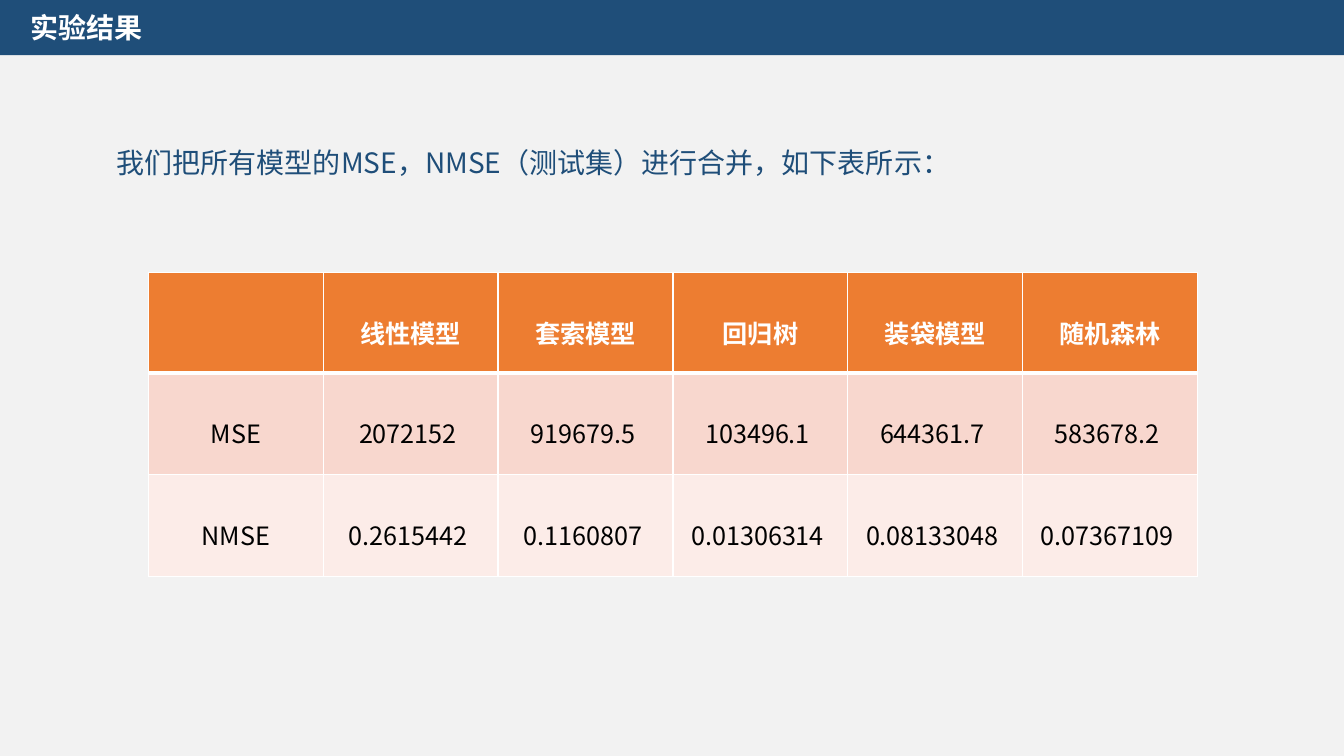
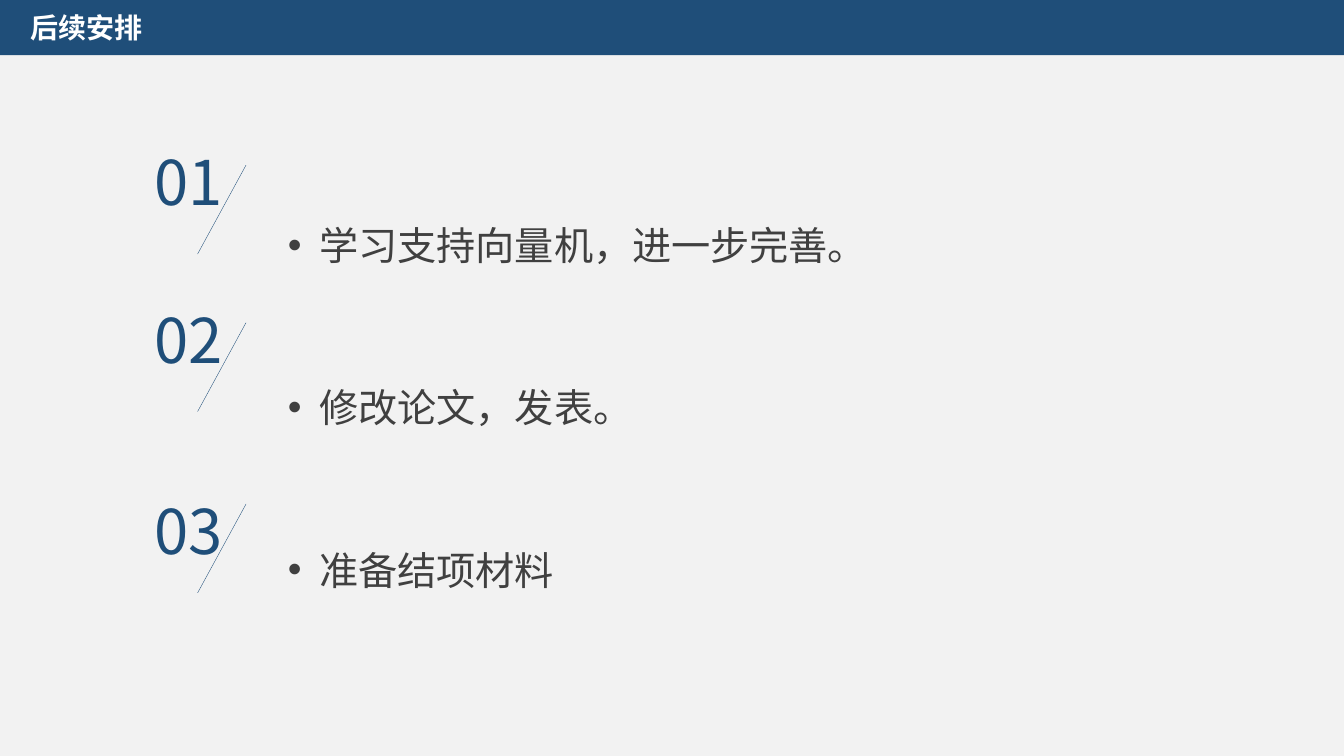
from dataclasses import dataclass

from lxml import etree
from pptx import Presentation
from pptx.dml.color import RGBColor
from pptx.enum.shapes import MSO_CONNECTOR
from pptx.enum.text import MSO_ANCHOR, MSO_AUTO_SIZE, PP_ALIGN
from pptx.oxml.ns import qn
from pptx.presentation import Presentation as Deck
from pptx.shapes.base import BaseShape
from pptx.slide import Slide
from pptx.table import _Cell as Cell
from pptx.text.text import TextFrame, _Paragraph as Paragraph
from pptx.util import Cm, Pt

STRAIGHT = MSO_CONNECTOR.STRAIGHT
LEFT, CENTER = PP_ALIGN.LEFT, PP_ALIGN.CENTER
TOP, MIDDLE = MSO_ANCHOR.TOP, MSO_ANCHOR.MIDDLE
FIXED_SIZE, FIT_SHAPE = MSO_AUTO_SIZE.NONE, MSO_AUTO_SIZE.SHAPE_TO_FIT_TEXT

FONT = "Noto Sans CJK SC"
COLORS = {
    "background": "F2F2F2",
    "navy": "1F4E79",
    "white": "FFFFFF",
    "black": "000000",
    "gray": "404040",
    "header": "ED7D31",
    "row_dark": "F8D7CE",
    "row_light": "FCECE8",
}
SLIDE_WIDTH, SLIDE_HEIGHT = 33.87, 19.05
TITLE_ONLY, TITLE_AND_CONTENT = 5, 1


@dataclass(frozen=True)
class Box:
    left: float
    top: float
    width: float
    height: float


@dataclass(frozen=True)
class TextStyle:
    size: float
    color: str
    bold: bool = False


@dataclass(frozen=True)
class TableRow:
    values: tuple[str, ...]
    height: float
    fill: str
    style: TextStyle
    top_border: float
    bottom_border: float
    text_top: float


@dataclass(frozen=True)
class Step:
    number: str
    text: str
    number_top: float
    slash_top: float


TITLE_STYLE = TextStyle(20, "white", True)
LEAD_STYLE = TextStyle(20, "navy")
HEADER_STYLE = TextStyle(18, "white", True)
VALUE_STYLE = TextStyle(18, "black")
NUMBER_STYLE = TextStyle(44, "navy")
STEP_STYLE = TextStyle(28, "gray")

TITLE_BAND = Box(0, 0, SLIDE_WIDTH, 1.39)
LEAD_BOX = Box(2.69, 3.28, 22.05, 1.37)
TABLE_BOX = Box(3.74, 6.86, 26.44, 7.66)
STEPS_BOX = Box(7.0, 5.45, 22.78, 11)

RESULT_ROWS = (
    TableRow(("", "线性模型", "套索模型", "回归树", "装袋模型", "随机森林"),
             2.54, "header", HEADER_STYLE, 1, 3, 1.07),
    TableRow(("MSE", "2072152", "919679.5", "103496.1", "644361.7", "583678.2"),
             2.56, "row_dark", VALUE_STYLE, 3, 1, 1.05),
    TableRow(("NMSE", "0.2615442", "0.1160807", "0.01306314", "0.08133048", "0.07367109"),
             2.56, "row_light", VALUE_STYLE, 1, 1, 1.05),
)
STEPS = (
    Step("01", "学习支持向量机，进一步完善。", 3.51, 4.16),
    Step("02", "修改论文，发表。", 7.48, 8.13),
    Step("03", "准备结项材料", 12.29, 12.7),
)


def rgb(name: str) -> RGBColor:
    return RGBColor.from_string(COLORS[name])


def place(shape: BaseShape, box: Box) -> None:
    shape.left, shape.top = Cm(box.left), Cm(box.top)
    shape.width, shape.height = Cm(box.width), Cm(box.height)


def add_run(paragraph: Paragraph, text: str, style: TextStyle) -> None:
    run = paragraph.add_run()
    run.text = text
    font = run.font
    font.name, font.size, font.bold = FONT, Pt(style.size), style.bold
    font.color.rgb = rgb(style.color)
    # East Asian typeface beside the Latin one
    latin = run._r.get_or_add_rPr().find(qn("a:latin"))
    east_asian = etree.Element(qn("a:ea"))
    east_asian.set("typeface", FONT)
    latin.addnext(east_asian)


def add_text_box(slide: Slide, box: Box, wrap: bool) -> TextFrame:
    text_box = slide.shapes.add_textbox(
        Cm(box.left), Cm(box.top), Cm(box.width), Cm(box.height))
    text_frame = text_box.text_frame
    text_frame.word_wrap = wrap
    text_frame.auto_size = FIT_SHAPE
    return text_frame


# Shared look: background on the master, title as a full-width band
def set_background(presentation: Deck) -> None:
    fill = presentation.slide_master.background.fill
    fill.solid()
    fill.fore_color.rgb = rgb("background")


def add_titled_slide(presentation: Deck, layout_index: int, title: str) -> Slide:
    slide = presentation.slides.add_slide(presentation.slide_layouts[layout_index])
    band = slide.shapes.title
    place(band, TITLE_BAND)
    band.fill.solid()
    band.fill.fore_color.rgb = rgb("navy")
    text_frame = band.text_frame
    text_frame.auto_size = FIXED_SIZE
    text_frame.vertical_anchor = MIDDLE
    text_frame.margin_left = Cm(0.76)
    text_frame.margin_top = text_frame.margin_bottom = 0
    paragraph = text_frame.paragraphs[0]
    paragraph.alignment = LEFT
    add_run(paragraph, title, TITLE_STYLE)
    return slide


# Results table
def set_borders(cell: Cell, top: float, bottom: float) -> None:
    properties = cell._tc.get_or_add_tcPr()
    for side, width in (("L", 1), ("R", 1), ("T", top), ("B", bottom)):
        line = etree.SubElement(properties, qn(f"a:ln{side}"), w=str(Pt(width)))
        fill = etree.SubElement(line, qn("a:solidFill"))
        etree.SubElement(fill, qn("a:srgbClr"), val=COLORS["white"])


def fill_cell(cell: Cell, row: TableRow, text: str, is_number: bool) -> None:
    set_borders(cell, row.top_border, row.bottom_border)
    cell.fill.solid()
    cell.fill.fore_color.rgb = rgb(row.fill)
    cell.vertical_anchor = TOP
    cell.margin_top = Cm(row.text_top)
    cell.margin_right = Cm(0.39 if is_number else 0.25)
    if text:
        paragraph = cell.text_frame.paragraphs[0]
        paragraph.alignment = CENTER
        add_run(paragraph, text, row.style)


def add_results_table(slide: Slide) -> None:
    column_count = len(RESULT_ROWS[0].values)
    table = slide.shapes.add_table(
        len(RESULT_ROWS), column_count, Cm(TABLE_BOX.left), Cm(TABLE_BOX.top),
        Cm(TABLE_BOX.width), Cm(TABLE_BOX.height)).table
    table.horz_banding = False
    for column in table.columns:
        column.width = Cm(TABLE_BOX.width / column_count)
    for row_index, row in enumerate(RESULT_ROWS):
        table.rows[row_index].height = Cm(row.height)
        for column_index, text in enumerate(row.values):
            is_number = row_index > 0 and column_index > 0
            fill_cell(table.cell(row_index, column_index), row, text, is_number)


def build_results_slide(presentation: Deck) -> None:
    slide = add_titled_slide(presentation, TITLE_ONLY, "实验结果")
    paragraph = add_text_box(slide, LEAD_BOX, True).paragraphs[0]
    paragraph.line_spacing = 1.3
    paragraph.space_before = Pt(6)
    add_run(paragraph, "我们把所有模型的MSE，NMSE（测试集）进行合并，如下表所示：", LEAD_STYLE)
    add_results_table(slide)


# Numbered next steps
def add_step_marker(slide: Slide, step: Step) -> None:
    number_box = Box(3.65, step.number_top, 2.34, 2.13)
    text_frame = add_text_box(slide, number_box, False)
    add_run(text_frame.paragraphs[0], step.number, NUMBER_STYLE)
    slash = slide.shapes.add_connector(
        STRAIGHT, Cm(4.98), Cm(step.slash_top + 2.24), Cm(6.2), Cm(step.slash_top))
    slash.line.color.rgb = rgb("navy")
    slash.line.width = Pt(0.25)
    etree.SubElement(slash.element.spPr, qn("a:effectLst"))


def format_bullet(paragraph: Paragraph) -> None:
    properties = paragraph._p.get_or_add_pPr()
    properties.set("marL", str(Cm(0.79)))
    properties.set("indent", str(-Cm(0.79)))
    etree.SubElement(properties, qn("a:buFont"), typeface="Arial")
    etree.SubElement(properties, qn("a:buChar"), char="•")


def add_step_list(slide: Slide) -> None:
    body = slide.placeholders[1]
    place(body, STEPS_BOX)
    text_frame = body.text_frame
    text_frame.auto_size = FIXED_SIZE
    text_frame.vertical_anchor = TOP
    for index, step in enumerate(STEPS):
        paragraph = text_frame.add_paragraph() if index else text_frame.paragraphs[0]
        paragraph.line_spacing = 1.0
        paragraph.space_before = Pt(0)
        paragraph.space_after = Pt(82.3)
        format_bullet(paragraph)
        add_run(paragraph, step.text, STEP_STYLE)


def build_plan_slide(presentation: Deck) -> None:
    slide = add_titled_slide(presentation, TITLE_AND_CONTENT, "后续安排")
    for step in STEPS:
        add_step_marker(slide, step)
    add_step_list(slide)


def main() -> None:
    presentation = Presentation()
    presentation.slide_width = Cm(SLIDE_WIDTH)
    presentation.slide_height = Cm(SLIDE_HEIGHT)
    set_background(presentation)
    build_results_slide(presentation)
    build_plan_slide(presentation)
    presentation.save("out.pptx")


if __name__ == "__main__":
    main()
